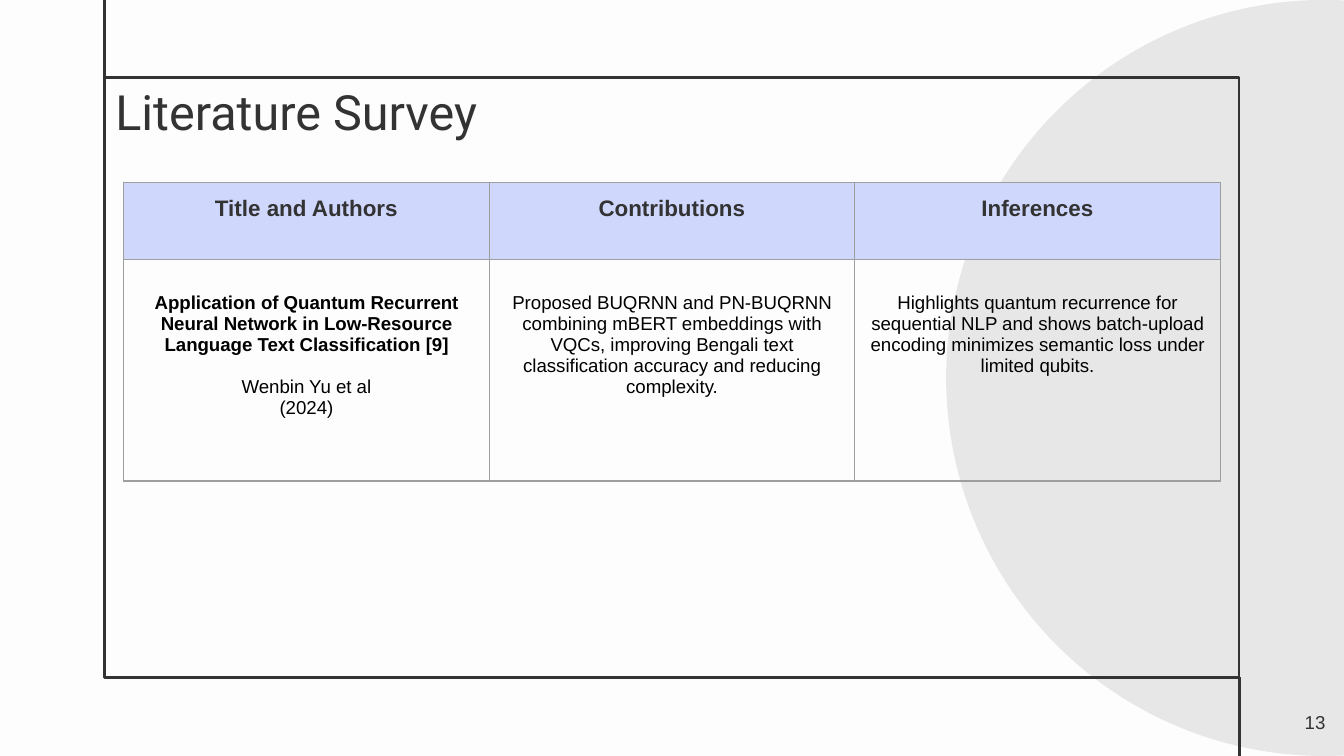
from lxml.etree import SubElement
from pptx import Presentation
from pptx.dml.color import RGBColor
from pptx.enum.shapes import MSO_CONNECTOR, MSO_SHAPE
from pptx.enum.text import MSO_ANCHOR, PP_ALIGN
from pptx.oxml import parse_xml
from pptx.oxml.ns import nsdecls, qn
from pptx.util import Inches, Pt

INK = "333333"
SLIDE_WIDTH = 10
SLIDE_HEIGHT = SLIDE_WIDTH * 9 / 16
HEADERS = ["Title and Authors", "Contributions", "Inferences"]
ENTRY = [
    [
        "Application of Quantum Recurrent Neural Network in Low-Resource Language Text Classification [9]",
        "Wenbin Yu et al",
        "(2024)",
    ],
    ["Proposed BUQRNN and PN-BUQRNN combining mBERT embeddings with VQCs, "
     "improving Bengali text classification accuracy and reducing complexity."],
    ["Highlights quantum recurrence for sequential NLP and shows batch-upload "
     "encoding minimizes semantic loss under limited qubits."],
]


def color(value):
    """Turn a hex string into a colour."""
    return RGBColor.from_string(value)


def format_paragraph(paragraph, size, ink, font="Arial", bold=False, align=PP_ALIGN.LEFT):
    """Align a paragraph and style its runs."""
    paragraph.alignment = align
    for run in paragraph.runs:
        run.font.size = Pt(size)
        run.font.name = font
        run.font.bold = bold
        run.font.color.rgb = color(ink)


def add_text(slide, box, text, size, font, align, anchor, top_inset, bottom_inset):
    """Add a single-paragraph text box."""
    frame = slide.shapes.add_textbox(*map(Inches, box)).text_frame
    frame.word_wrap = True
    frame.vertical_anchor = anchor
    frame.margin_left = frame.margin_right = Inches(0.1)
    frame.margin_top = Inches(top_inset)
    frame.margin_bottom = Inches(bottom_inset)
    frame.text = text
    format_paragraph(frame.paragraphs[0], size, INK, font, align=align)


def add_line(slide, start, end):
    """Add a straight frame line between two points."""
    line = slide.shapes.add_connector(MSO_CONNECTOR.STRAIGHT, *map(Inches, start + end))
    line.line.color.rgb = color(INK)
    line.line.width = Pt(1.5)
    SubElement(line._element.spPr, qn("a:effectLst"))


def add_backdrop(slide, box):
    """Draw the large circle and the frame with its two extended edges."""
    circle = slide.shapes.add_shape(
        MSO_SHAPE.OVAL, Inches(7.04), 0, Inches(SLIDE_HEIGHT), Inches(SLIDE_HEIGHT))
    circle.shadow.inherit = False
    circle.fill.solid()
    circle.fill.fore_color.rgb = color("E8E7E7")
    circle.line.fill.background()

    left, top, width, height = box
    frame = slide.shapes.add_shape(MSO_SHAPE.RECTANGLE, *map(Inches, box))
    frame.shadow.inherit = False
    frame.fill.background()
    frame.line.color.rgb = color(INK)
    frame.line.width = Pt(1.5)
    add_line(slide, (left, top), (left, 0))
    add_line(slide, (left + width, top + height), (left + width, SLIDE_HEIGHT))


def format_cell(cell, lines, top_inset, fill=None):
    """Fill a cell with lines of text, margins, background and borders."""
    cell.margin_left = cell.margin_right = cell.margin_bottom = Inches(0.1)
    cell.margin_top = Inches(top_inset)
    cell.text_frame.text = "\n".join(lines)
    properties = cell._tc.get_or_add_tcPr()
    for side in ("lnL", "lnR", "lnT", "lnB"):
        properties.append(parse_xml(
            f'<a:{side} {nsdecls("a")} w="{Pt(0.75)}"><a:solidFill>'
            f'<a:srgbClr val="9E9E9E"/></a:solidFill></a:{side}>'))
    if fill:
        cell.fill.solid()
        cell.fill.fore_color.rgb = color(fill)
    else:
        cell.fill.background()


def add_survey_table(slide, box):
    """Add the survey table with a header row and one entry."""
    left, top, width, height = box
    table = slide.shapes.add_table(2, len(HEADERS), *map(Inches, box)).table
    table.first_row = table.horz_banding = False
    header_height = 0.57
    table.rows[0].height = Inches(header_height)
    table.rows[1].height = Inches(height - header_height)
    for index, (header, lines) in enumerate(zip(HEADERS, ENTRY)):
        table.columns[index].width = Inches(width / len(HEADERS))
        heading = table.cell(0, index)
        format_cell(heading, [header], 0.1, "CFD7FD")
        format_paragraph(heading.text_frame.paragraphs[0], 12, INK, bold=True, align=PP_ALIGN.CENTER)
        body = table.cell(1, index)
        format_cell(body, lines, 0.25)
        for position, paragraph in enumerate(body.text_frame.paragraphs):
            is_title = index == 0 and position == 0
            format_paragraph(paragraph, 10, "000000", bold=is_title, align=PP_ALIGN.CENTER)
            if is_title:
                paragraph.space_after = Pt(11.5)


def main():
    """Build and save the literature survey slide."""
    presentation = Presentation()
    presentation.slide_width = Inches(SLIDE_WIDTH)
    presentation.slide_height = Inches(SLIDE_HEIGHT)
    slide = presentation.slides.add_slide(presentation.slide_layouts[6])
    slide.background.fill.solid()
    slide.background.fill.fore_color.rgb = color("FDFDFD")
    add_backdrop(slide, (0.78, 0.58, 8.44, 4.46))
    add_text(slide, (0.76, 0.58, 5.54, 0.56), "Literature Survey", 26, "Roboto",
             PP_ALIGN.LEFT, MSO_ANCHOR.BOTTOM, 0.03, 0.1)
    add_survey_table(slide, (0.92, 1.36, 8.16, 2.22))
    add_text(slide, (9.36, 5.19, 0.6, 0.43), "13", 10, "Arial",
             PP_ALIGN.RIGHT, MSO_ANCHOR.TOP, 0.13, 0.1)
    presentation.save("out.pptx")


if __name__ == "__main__":
    main()
